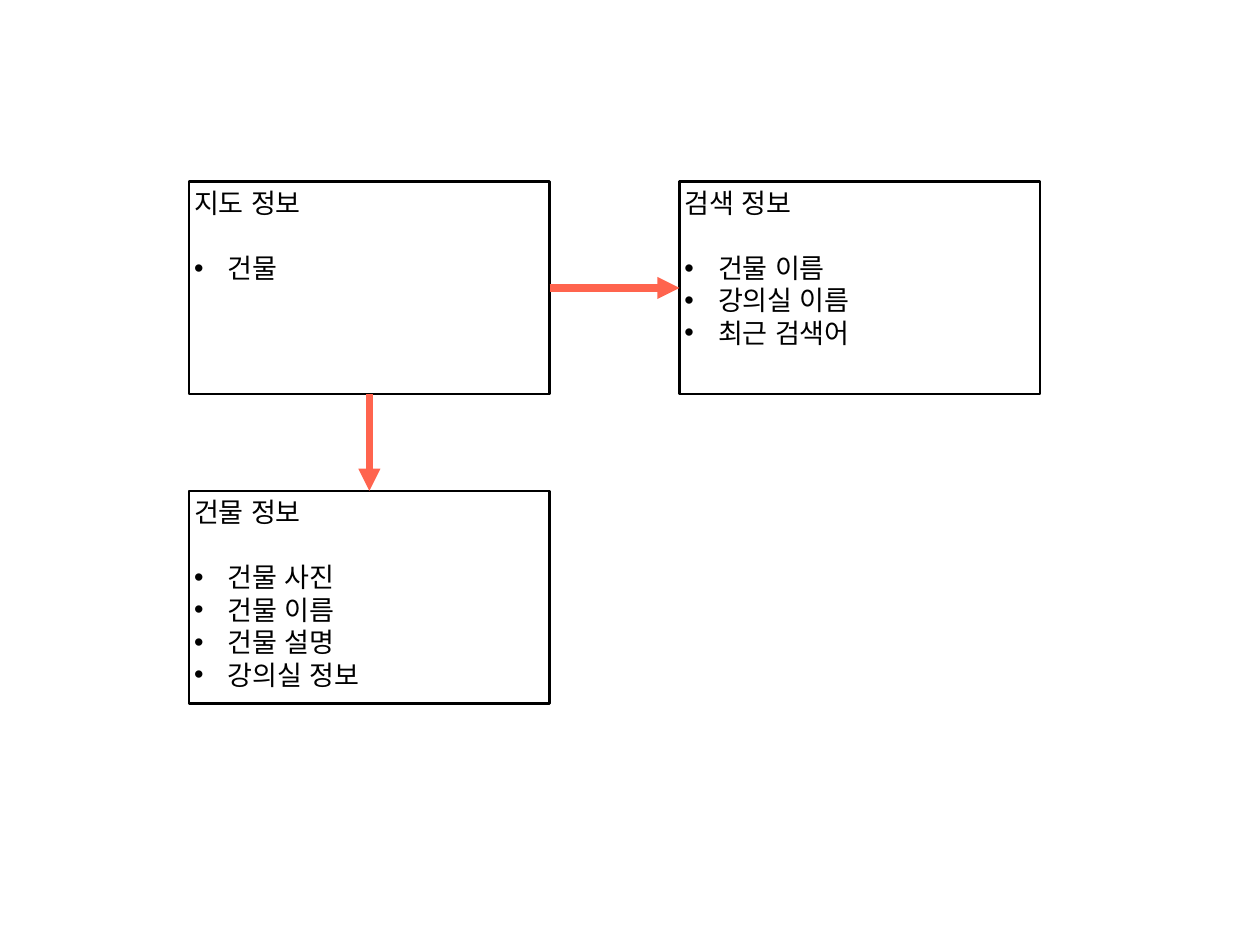
"""Builds a slide of three linked information boxes for a campus map."""
from collections import namedtuple

from lxml import etree
from pptx import Presentation
from pptx import util as u
from pptx.dml import color
from pptx.enum import shapes, text
from pptx.oxml import ns

Theme = namedtuple("Theme", "ink paper arrow font size line_height")
theme = Theme(color.RGBColor.from_string("000000"), color.RGBColor.from_string("FFFFFF"),
              color.RGBColor.from_string("FF644E"), "Arial", u.Pt(22), u.Pt(26.4))

LEFT, RIGHT = 153.7, 552.2
UPPER, LOWER = 147.6, 398.9
BOX_WIDTH, BOX_HEIGHT = 293, 172.8
INSET, INDENT = 4, 27.4
BOTTOM_SITE, RIGHT_SITE, TOP_SITE, LEFT_SITE = 2, 3, 0, 1

box_contents = [
    ("건물 정보", LEFT, LOWER, ["건물 사진", "건물 이름", "건물 설명", "강의실 정보"]),
    ("검색 정보", RIGHT, UPPER, ["건물 이름", "강의실 이름", "최근 검색어"]),
    ("지도 정보", LEFT, UPPER, ["건물"]),
]

deck = Presentation()
deck.slide_width, deck.slide_height = u.Pt(1024), u.Pt(768)
page = deck.slides.add_slide(deck.slide_layouts[6])

boxes = {}
for heading, left, top, items in box_contents:
    box = page.shapes.add_shape(shapes.MSO_SHAPE.RECTANGLE, u.Pt(left), u.Pt(top),
                                u.Pt(BOX_WIDTH), u.Pt(BOX_HEIGHT))
    box.shadow.inherit = False
    box.fill.solid()
    box.fill.fore_color.rgb = theme.paper
    box.line.color.rgb = theme.ink
    box.line.width = u.Pt(2)
    frame = box.text_frame
    frame.word_wrap = True
    frame.vertical_anchor = text.MSO_ANCHOR.TOP
    frame.margin_left = frame.margin_right = u.Pt(INSET)
    frame.margin_top = frame.margin_bottom = u.Pt(INSET)
    frame.text = "\n".join([heading, *items])
    frame.paragraphs[0].space_after = theme.line_height
    for para in frame.paragraphs[1:]:
        properties = para._p.get_or_add_pPr()
        properties.set("marL", str(u.Pt(INDENT)))
        properties.set("indent", str(-u.Pt(INDENT)))
        etree.SubElement(properties, ns.qn("a:buFont"), typeface=theme.font)
        etree.SubElement(properties, ns.qn("a:buChar"), char="•")
    for para in frame.paragraphs:
        para.alignment = text.PP_ALIGN.LEFT
        para.font.size = theme.size
        para.font.color.rgb = theme.ink
        para.font.name = theme.font
        etree.SubElement(para.font._element, ns.qn("a:ea"), typeface=theme.font)
    boxes[heading] = box

for target, start_site, end_site in [("건물 정보", BOTTOM_SITE, TOP_SITE),
                                     ("검색 정보", RIGHT_SITE, LEFT_SITE)]:
    arrow = page.shapes.add_connector(shapes.MSO_CONNECTOR.STRAIGHT, 0, 0, 0, 0)
    arrow.begin_connect(boxes["지도 정보"], start_site)
    arrow.end_connect(boxes[target], end_site)
    arrow.line.color.rgb = theme.arrow
    arrow.line.width = u.Pt(6)
    etree.SubElement(arrow.line._get_or_add_ln(), ns.qn("a:tailEnd"), type="triangle")
    etree.SubElement(arrow._element.spPr, ns.qn("a:effectLst"))

deck.save("out.pptx")
